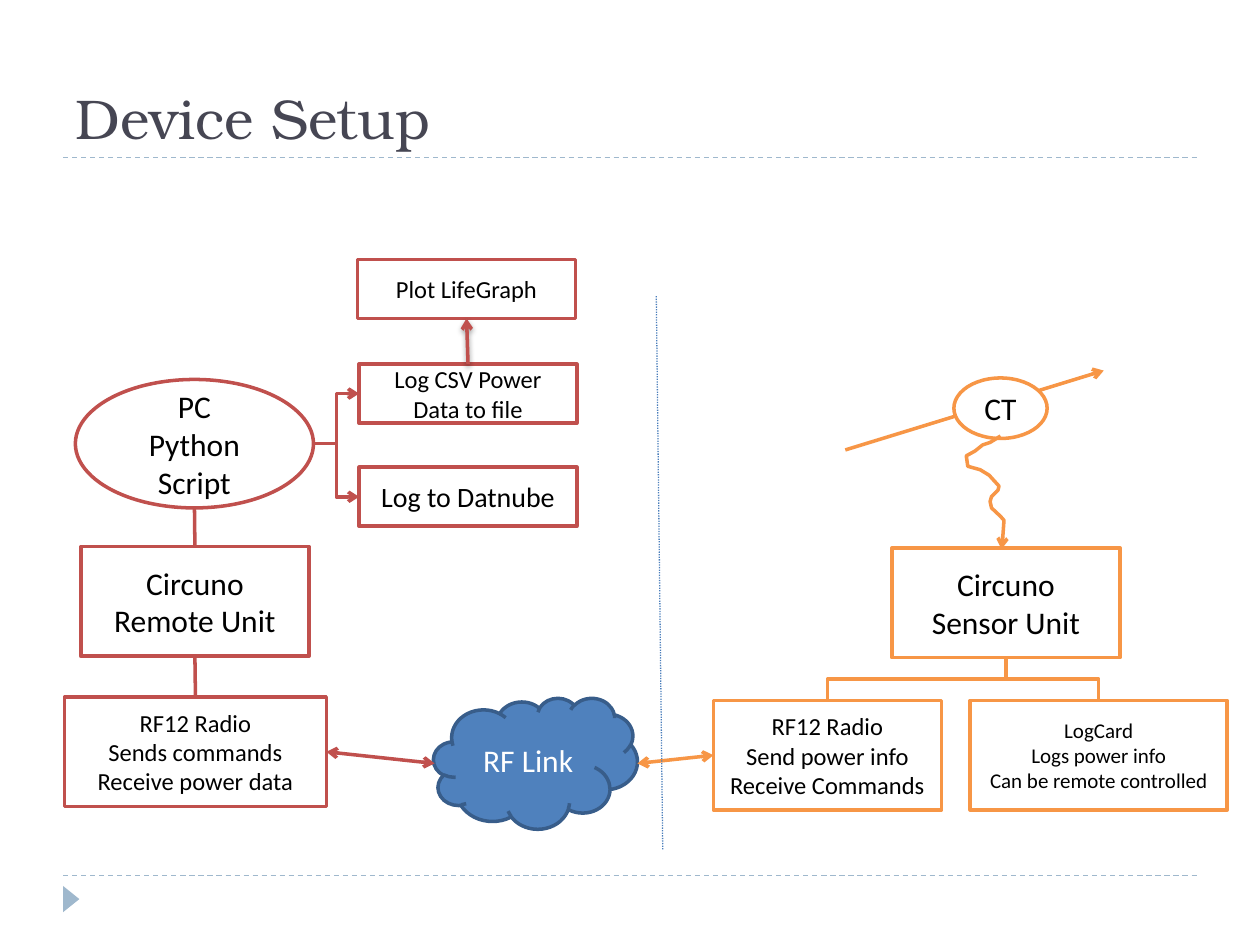
from lxml.etree import SubElement
from pptx import Presentation
from pptx.dml.color import RGBColor
from pptx.enum.dml import MSO_LINE
from pptx.enum.shapes import MSO_CONNECTOR as LINK, MSO_SHAPE as SHAPE
from pptx.enum.text import MSO_ANCHOR, PP_ALIGN
from pptx.oxml.ns import qn
from pptx.util import Cm, Pt

COLORS = {
    "title": "464653", "rule": "9FB8CD", "remote": "C0504D", "sensor": "F79646",
    "cloud": "4F81BD", "cloud edge": "385D8A", "divider": "4A7EBB",
    "white": "FFFFFF", "black": "000000",
}
TOP, LEFT, BOTTOM, RIGHT = range(4)

presentation = Presentation()
presentation.slide_width, presentation.slide_height = Cm(25.4), Cm(19.05)
slide = presentation.slides.add_slide(presentation.slide_layouts[5])
shapes = slide.shapes


def format_line(shape, color, width=2, arrows=()):
    shape.line.color.rgb = RGBColor.from_string(COLORS[color])
    shape.line.width = Pt(width)
    for end in arrows:
        SubElement(shape.line._get_or_add_ln(), qn(f"a:{end}"), type="arrow")


def connect(start, end, color, kind=LINK.STRAIGHT, width=2, arrows=(), shadow=False):
    """Each end is either a point in cm or a (shape, side) pair."""
    points = [Cm(0) if not isinstance(first, (int, float)) else Cm(value)
              for first, second in (start, end) for value in (first, second)]
    connector = shapes.add_connector(kind, *points)
    for (target, side), join in ((start, connector.begin_connect),
                                 (end, connector.end_connect)):
        if not isinstance(target, (int, float)):
            join(target, side)
    format_line(connector, color, width, arrows)
    if not shadow:
        SubElement(connector._element.spPr, qn("a:effectLst"))
    return connector


# Title
title = shapes.title
title.left, title.top, title.width, title.height = Cm(1.27), Cm(0.43), Cm(22.86), Cm(2.74)
title.text_frame.text = "Device Setup"
title.text_frame.vertical_anchor = MSO_ANCHOR.BOTTOM
paragraph = title.text_frame.paragraphs[0]
paragraph.alignment = PP_ALIGN.LEFT
paragraph.font.name, paragraph.font.size = "TeX Gyre Bonum", Pt(32)
paragraph.font.color.rgb = RGBColor.from_string(COLORS["title"])

# Dashed rules and corner triangle
for y in (3.18, 17.65):
    rule = connect((1.27, y), (24.13, y), "rule", width=0.75)
    rule.line.dash_style = MSO_LINE.DASH
triangle = shapes.add_shape(SHAPE.ISOSCELES_TRIANGLE, Cm(1.17), Cm(17.96), Cm(0.53), Cm(0.33))
triangle.rotation = 90
triangle.shadow.inherit = False
triangle.fill.solid()
triangle.fill.fore_color.rgb = RGBColor.from_string(COLORS["rule"])
triangle.line.fill.background()

# Measured wire, passing behind the current transformer
connect((17.04, 9.07), (22.25, 7.47), "sensor", arrows=["tailEnd"])

# Devices: key, preset, left, top, width, height, line, text size, text
devices = [
    ("pc", SHAPE.OVAL, 1.52, 7.65, 4.8, 2.59, "remote", 18, "PC\nPython Script"),
    ("remote unit", SHAPE.RECTANGLE, 1.63, 11.02, 4.6, 2.21, "remote", 18,
     "Circuno\nRemote Unit"),
    ("remote radio", SHAPE.RECTANGLE, 1.3, 14.05, 5.28, 2.21, "remote", 14,
     "RF12 Radio\nSends commands\nReceive power data"),
    ("csv", SHAPE.RECTANGLE, 7.24, 7.34, 4.39, 1.19, "remote", 14,
     "Log CSV Power Data to file"),
    ("upload", SHAPE.RECTANGLE, 7.24, 9.42, 4.39, 1.19, "remote", 16, "Log to Datnube"),
    ("plot", SHAPE.RECTANGLE, 7.21, 5.23, 4.39, 1.19, "remote", 14, "Plot LifeGraph"),
    ("sensor unit", SHAPE.RECTANGLE, 17.98, 11.05, 4.6, 2.21, "sensor", 18,
     "Circuno\nSensor Unit"),
    ("sensor radio", SHAPE.RECTANGLE, 14.38, 14.12, 4.6, 2.21, "sensor", 14,
     "RF12 Radio\nSend power info\nReceive Commands"),
    ("logger", SHAPE.RECTANGLE, 19.56, 14.12, 5.18, 2.21, "sensor", 12,
     "LogCard\nLogs power info\nCan be remote controlled"),
    ("ct", SHAPE.OVAL, 19.23, 7.62, 1.88, 1.22, "sensor", 18, "CT"),
    ("cloud", SHAPE.CLOUD, 8.74, 14.07, 4.11, 2.64, "cloud edge", 18, "RF Link"),
]
device = {}
for key, preset, left, top, width, height, line, size, text in devices:
    fill, ink = ("cloud", "white") if key == "cloud" else ("white", "black")
    shape = shapes.add_shape(preset, Cm(left), Cm(top), Cm(width), Cm(height))
    shape.shadow.inherit = False
    shape.fill.solid()
    shape.fill.fore_color.rgb = RGBColor.from_string(COLORS[fill])
    format_line(shape, line)
    shape.text_frame.text = text
    shape.text_frame.vertical_anchor = MSO_ANCHOR.MIDDLE
    for paragraph in shape.text_frame.paragraphs:
        paragraph.alignment = PP_ALIGN.CENTER
        paragraph.font.name, paragraph.font.size = "Calibri", Pt(size)
        paragraph.font.color.rgb = RGBColor.from_string(COLORS[ink])
    device[key] = shape

# Remote side links
for key in ("csv", "upload"):
    connect((6.32, 8.94), (device[key], LEFT), "remote", LINK.ELBOW, arrows=["tailEnd"])
connect((3.92, 10.24), (device["remote unit"], TOP), "remote")
connect((device["remote unit"], BOTTOM), (device["remote radio"], TOP), "remote")
connect((device["csv"], TOP), (device["plot"], BOTTOM), "remote",
        arrows=["tailEnd"], shadow=True)

# Sensor side tree: elbows turned so that they leave downwards
for key, rotation, flip in (("sensor radio", 90, "0"), ("logger", 270, "1")):
    elbow = connect((device["sensor unit"], BOTTOM), (device[key], TOP), "sensor", LINK.ELBOW)
    left, top, width, height = elbow.left, elbow.top, elbow.width, elbow.height
    elbow.left = left + (width - height) // 2
    elbow.top = top + (height - width) // 2
    elbow.width, elbow.height = height, width
    frame = elbow._element.spPr.find(qn("a:xfrm"))
    frame.set("rot", str(rotation * 60000))
    frame.set("flipH", flip)

# Radio links to the cloud
both = ["headEnd", "tailEnd"]
connect((device["remote radio"], RIGHT), (8.76, 15.39), "remote", arrows=both)
connect((device["sensor radio"], LEFT), (12.85, 15.39), "sensor", arrows=both)

# Divider between the two sides
divider = connect((13.23, 5.97), (13.36, 17.12), "divider", width=0.75)
divider.line.dash_style = MSO_LINE.ROUND_DOT

# Curly lead from the transformer to the sensor unit
lead_points = [
    (20.17, 8.79), (19.96, 8.92), (19.81, 8.97), (19.66, 9.09), (19.48, 9.19),
    (19.51, 9.4), (19.58, 9.42), (19.76, 9.47), (19.94, 9.58), (20.14, 9.8),
    (20.12, 9.88), (19.99, 10.01), (19.96, 10.11), (19.99, 10.24), (20.17, 10.41),
    (20.24, 10.49), (20.22, 10.77), (20.19, 11.07),
]
lead_start, *lead_rest = [(Cm(x), Cm(y)) for x, y in lead_points]
builder = shapes.build_freeform(*lead_start)
builder.add_line_segments(lead_rest, close=False)
lead = builder.convert_to_shape()
lead.shadow.inherit = False
lead.fill.background()
format_line(lead, "sensor", arrows=["tailEnd"])

presentation.save("out.pptx")
